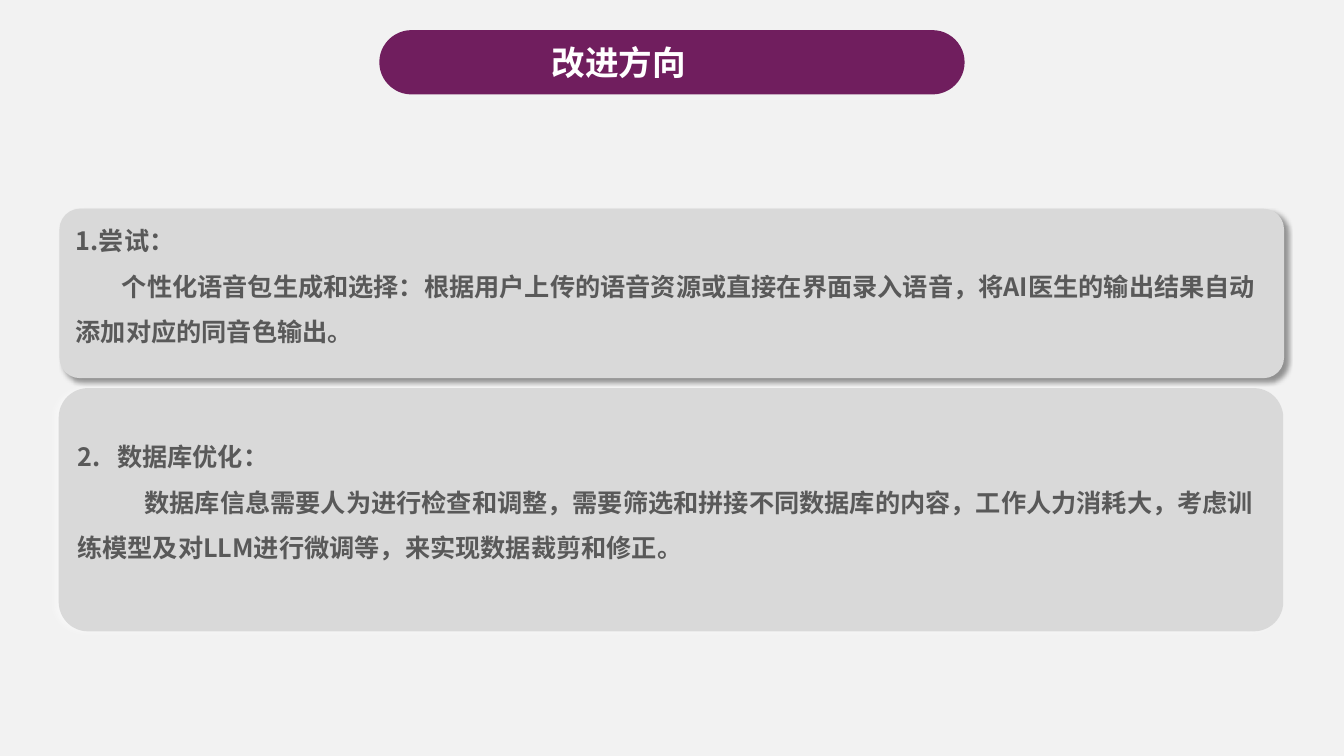
from lxml.etree import SubElement
from pptx import Presentation
from pptx.dml.color import RGBColor
from pptx.enum.shapes import MSO_SHAPE
from pptx.enum.text import MSO_ANCHOR, MSO_AUTO_SIZE, PP_ALIGN
from pptx.oxml.ns import qn
from pptx.util import Cm, Pt

# Content
TITLE = "改进方向"
CARDS = [
    {"heading": "尝试：",
     "body": "个性化语音包生成和选择：根据用户上传的语音资源或直接在界面录入语音，"
             "将AI医生的输出结果自动添加对应的同音色输出。",
     "left": 1.5, "top": 5.26, "height": 4.27, "text_left": 1.91, "text_top": 5.3,
     "number_gap": 0.56, "indent": 1.16, "shadow": ("000000", 45)},
    {"heading": "数据库优化：",
     "body": "数据库信息需要人为进行检查和调整，需要筛选和拼接不同数据库的内容，"
             "工作人力消耗大，考虑训练模型及对LLM进行微调等，来实现数据裁剪和修正。",
     "left": 1.48, "top": 9.78, "height": 6.13, "text_left": 1.95, "text_top": 10.74,
     "number_gap": 1, "indent": 1.69, "shadow": ("FFFFFF", 180)},
]

# Format
FONT = "Noto Sans CJK SC"
BACKGROUND = RGBColor(0xF2, 0xF2, 0xF2)
PURPLE = RGBColor(0x70, 0x1E, 0x5E)
WHITE = RGBColor(0xFF, 0xFF, 0xFF)
CARD_GREY = RGBColor(0xD9, 0xD9, 0xD9)
TEXT_GREY = RGBColor(0x59, 0x59, 0x59)
TITLE_FONT = {"size": Pt(24), "bold": True, "name": FONT}
CARD_FONT = {"size": Pt(18), "bold": True, "name": FONT}
CARD_WIDTH, TEXT_RIGHT = 30.86, 31.96
LINE = Pt(32.5)


def place(sp, left, top, width, height):
    box = {"left": left, "top": top, "width": width, "height": height}
    for name, value in box.items():
        setattr(sp, name, Cm(value))


def set_frame(tf, anchor):
    frame = {"word_wrap": True, "auto_size": MSO_AUTO_SIZE.NONE,
             "vertical_anchor": anchor, "margin_left": 0, "margin_right": 0,
             "margin_top": 0, "margin_bottom": 0}
    for name, value in frame.items():
        setattr(tf, name, value)


def write(p, text, style, color):
    p.alignment = PP_ALIGN.LEFT
    p.space_before = p.space_after = Pt(0)
    r = p.add_run()
    r.text = text
    for name, value in style.items():
        setattr(r.font, name, value)
    r.font.color.rgb = color
    SubElement(r._r.get_or_add_rPr(), qn("a:ea"), typeface=FONT)


def set_indent(p, margin, first):
    pPr = p._p.get_or_add_pPr()
    pPr.set("marL", str(Cm(margin)))
    pPr.set("indent", str(Cm(first)))
    return pPr


def add_panel(s, left, top, width, height, color, roundness):
    sp = s.shapes.add_shape(MSO_SHAPE.ROUNDED_RECTANGLE, Cm(left), Cm(top),
                            Cm(width), Cm(height))
    sp.adjustments[0] = roundness
    sp.shadow.inherit = False
    sp.fill.solid()
    sp.fill.fore_color.rgb = color
    sp.line.fill.background()
    s.shapes._spTree.insert(2, sp._element)  # behind the placeholders
    return sp


def add_shadow(sp, color, angle):
    effects = sp._element.spPr.find(qn("a:effectLst"))
    shadow = SubElement(effects, qn("a:outerShdw"), blurRad=str(Pt(4)),
                        dist=str(Pt(3)), dir=str(angle * 60000),
                        algn="ctr", rotWithShape="0")
    clr = SubElement(shadow, qn("a:srgbClr"), val=color)
    SubElement(clr, qn("a:alpha"), val="40000")


prs = Presentation()
prs.slide_width, prs.slide_height = Cm(33.87), Cm(19.05)
s = prs.slides.add_slide(prs.slide_layouts[3])
s.background.fill.solid()
s.background.fill.fore_color.rgb = BACKGROUND

# Title on its pill
add_panel(s, 9.56, 0.76, 14.75, 1.62, PURPLE, 0.5)
title = s.shapes.title
place(title, 13.9, 0.92, 6, 1.27)
set_frame(title.text_frame, MSO_ANCHOR.MIDDLE)
write(title.text_frame.paragraphs[0], TITLE, TITLE_FONT, WHITE)

# Numbered cards
for number, card in enumerate(CARDS, 1):
    panel = add_panel(s, card["left"], card["top"], CARD_WIDTH, card["height"],
                      CARD_GREY, 0.121)
    add_shadow(panel, *card["shadow"])

    sp = s.placeholders[number]
    left, top = card["text_left"], card["text_top"]
    place(sp, left, top, TEXT_RIGHT - left, card["top"] + card["height"] - top)
    tf = sp.text_frame
    set_frame(tf, MSO_ANCHOR.TOP)
    heading, body = tf.paragraphs[0], tf.add_paragraph()
    for p, text in ((heading, card["heading"]), (body, card["body"])):
        p.line_spacing = LINE
        write(p, text, CARD_FONT, TEXT_GREY)
    pPr = set_indent(heading, card["number_gap"], -card["number_gap"])
    SubElement(pPr, qn("a:buFont"), typeface=FONT)
    SubElement(pPr, qn("a:buAutoNum"), type="arabicPeriod", startAt=str(number))
    SubElement(set_indent(body, 0, card["indent"]), qn("a:buNone"))

prs.save("out.pptx")
